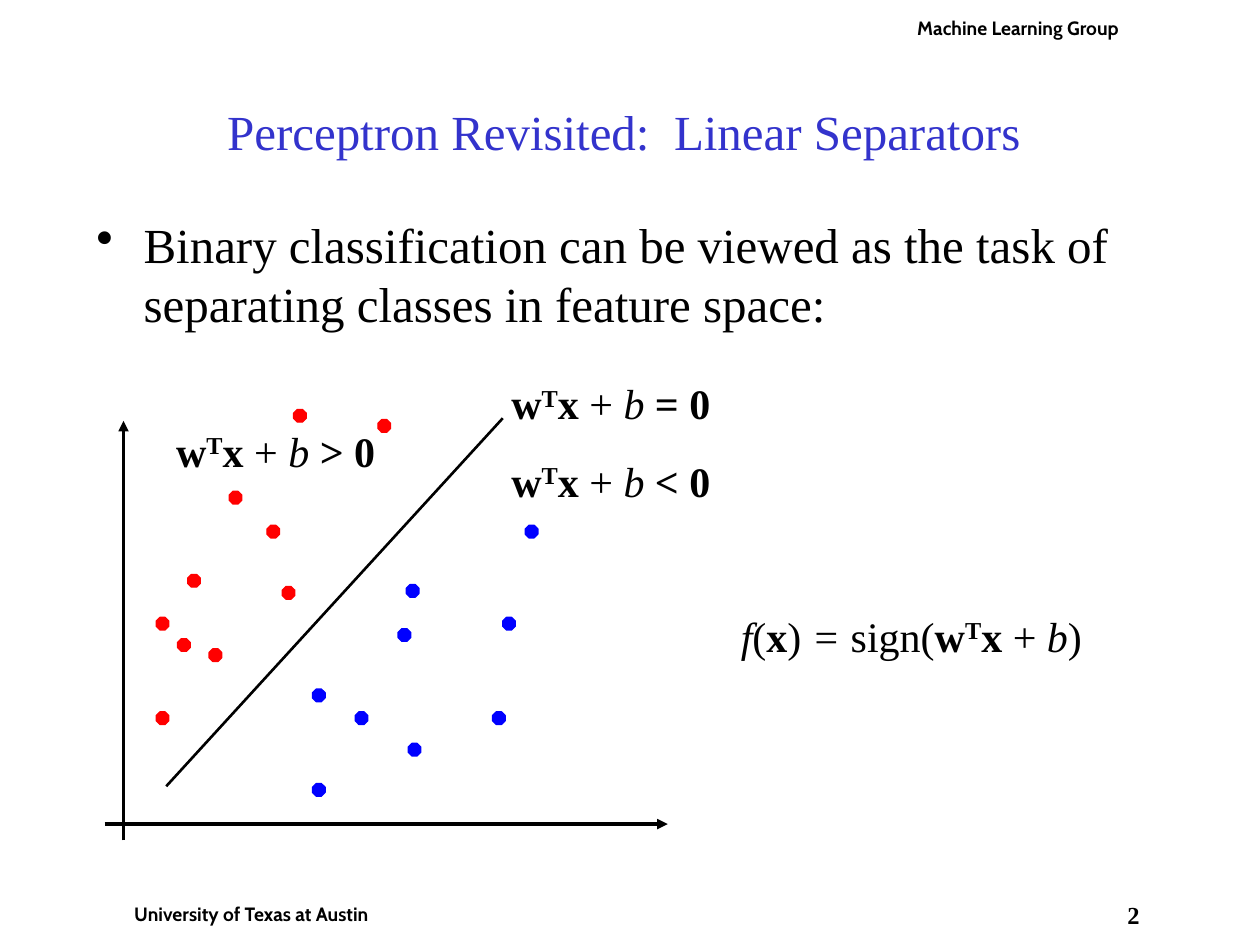
import pptx
import pptx.util
import pptx.dml.color
import pptx.enum.shapes
import pptx.enum.text
import pptx.oxml.ns
from lxml import etree

Pt = pptx.util.Pt
RGBColor = pptx.dml.color.RGBColor
ALIGN = pptx.enum.text.PP_ALIGN
ANCHOR = pptx.enum.text.MSO_ANCHOR
qn = pptx.oxml.ns.qn

COLORS = {"text": "000000", "title": "3333CC", "positive": "FF0000",
          "negative": "0000FF", "background": "FFFFFF"}


def write_text(shape, runs, size=24, font="Times New Roman", color="text",
               align=ALIGN.LEFT, anchor=ANCHOR.TOP, insets=(7.2, 3.6), before=0):
    """Fill a shape with (text, style) runs; style letters: b bold, i italic, ^ superscript."""
    frame = shape.text_frame
    frame.word_wrap = True
    frame.auto_size = pptx.enum.text.MSO_AUTO_SIZE.NONE
    frame.vertical_anchor = anchor
    frame.margin_left = frame.margin_right = Pt(insets[0])
    frame.margin_top = frame.margin_bottom = Pt(insets[1])
    paragraph = frame.paragraphs[0]
    paragraph.alignment = align
    paragraph.space_before = Pt(before)
    for text, style in runs:
        run = paragraph.add_run()
        run.text = text
        run.font.name = font
        run.font.size = Pt(size)
        run.font.color.rgb = RGBColor.from_string(COLORS[color])
        run.font.bold = "b" in style
        run.font.italic = "i" in style
        if "^" in style:
            run.font._element.set("baseline", "30000")
    return paragraph


def add_line(start, end, width, arrow=False):
    line = slide.shapes.add_connector(
        pptx.enum.shapes.MSO_CONNECTOR.STRAIGHT, *map(Pt, start + end))
    line.line.color.rgb = RGBColor.from_string(COLORS["text"])
    line.line.width = Pt(width)
    if arrow:
        etree.SubElement(line.line._get_or_add_ln(), qn("a:tailEnd"), type="triangle")
    etree.SubElement(line._element.spPr, qn("a:effectLst"))


presentation = pptx.Presentation()
presentation.slide_width, presentation.slide_height = Pt(720), Pt(540)
slide = presentation.slides.add_slide(presentation.slide_layouts[5])

# Header, footer and page number
for box, text, font, size, insets, before in [
    ((635.8, 514, 23.8, 26), "2", "Times New Roman", 14, (0, 0), 0),
    ((59.8, 512, 167.8, 21), "University of Texas at Austin", "Cabin", 11, (3.6, 3.6), 6.9),
    ((509.8, 5.8, 144, 21), "Machine Learning Group", "Cabin", 11, (3.6, 3.6), 6.9),
]:
    label = slide.shapes.add_textbox(*map(Pt, box))
    label.fill.solid()
    label.fill.fore_color.rgb = RGBColor.from_string(COLORS["background"])
    write_text(label, [(text, "b")], size=size, font=font, align=ALIGN.CENTER,
               insets=insets, before=before)

# Title and bullet
title = slide.shapes.title
title.left, title.top, title.width, title.height = map(Pt, (54, 30, 612, 90))
write_text(title, [("Perceptron Revisited:  Linear Separators ", "")], size=28,
           color="title", align=ALIGN.CENTER, anchor=ANCHOR.MIDDLE)

body = slide.shapes.add_textbox(*map(Pt, (48, 118.8, 648, 396)))
bullet = write_text(body, [("Binary classification can be viewed as the task of "
                            "separating classes in feature space:", "")],
                    size=28, before=7)
bullet.line_spacing = Pt(33.7)
bullet_format = bullet._p.get_or_add_pPr()
bullet_format.set("marL", str(Pt(27)))
bullet_format.set("indent", str(-Pt(27)))
etree.SubElement(bullet_format, qn("a:buChar"), char="•")

# Axes and separating line
add_line((70.6, 480.2), (70.6, 240.5), 2, arrow=True)
add_line((59.8, 470.9), (381.6, 470.9), 2, arrow=True)
add_line((95, 449.3), (287.3, 239), 1.5)

# Data points of the two classes, by left and top
DOT = 7.2
points = {
    "positive": [(152.6, 300.2), (107.3, 328.3), (119.5, 370.8), (89.3, 406.8),
                 (131, 280.8), (89.3, 352.8), (101.5, 365), (161.3, 335.2),
                 (167.8, 234), (216, 239.8)],
    "negative": [(232.2, 334.1), (203, 406.8), (281.5, 406.8), (178.6, 447.8),
                 (227.5, 359.3), (178.6, 393.8), (233.3, 424.8), (287.3, 352.8),
                 (300.2, 300.2)],
}
for group, positions in points.items():
    color = RGBColor.from_string(COLORS[group])
    for left, top in positions:
        dot = slide.shapes.add_shape(pptx.enum.shapes.MSO_SHAPE.OCTAGON,
                                     Pt(left), Pt(top), Pt(DOT), Pt(DOT))
        dot.shadow.inherit = False
        dot.fill.solid()
        dot.fill.fore_color.rgb = color
        dot.line.color.rgb = color
        dot.line.width = Pt(0.75)

# Formulas
linear = [("w", "b"), ("T", "b^"), ("x ", "b"), ("+ ", ""), ("b", "i")]
decision = [("f", "i"), ("(", ""), ("x", "b"), (")", ""), (" = ", "i"), ("sign(", "")]
for left, top, width, runs in [
    (285.1, 212.4, 210, linear + [(" = 0", "b")]),
    (285.1, 256.6, 210, linear + [(" < 0", "b")]),
    (93.6, 239.4, 210, linear + [(" > 0", "b")]),
    (416.2, 345.2, 231, decision + linear + [(")", "")]),
]:
    formula = slide.shapes.add_textbox(Pt(left), Pt(top), Pt(width), Pt(36))
    write_text(formula, runs, before=15)

presentation.save("out.pptx")
